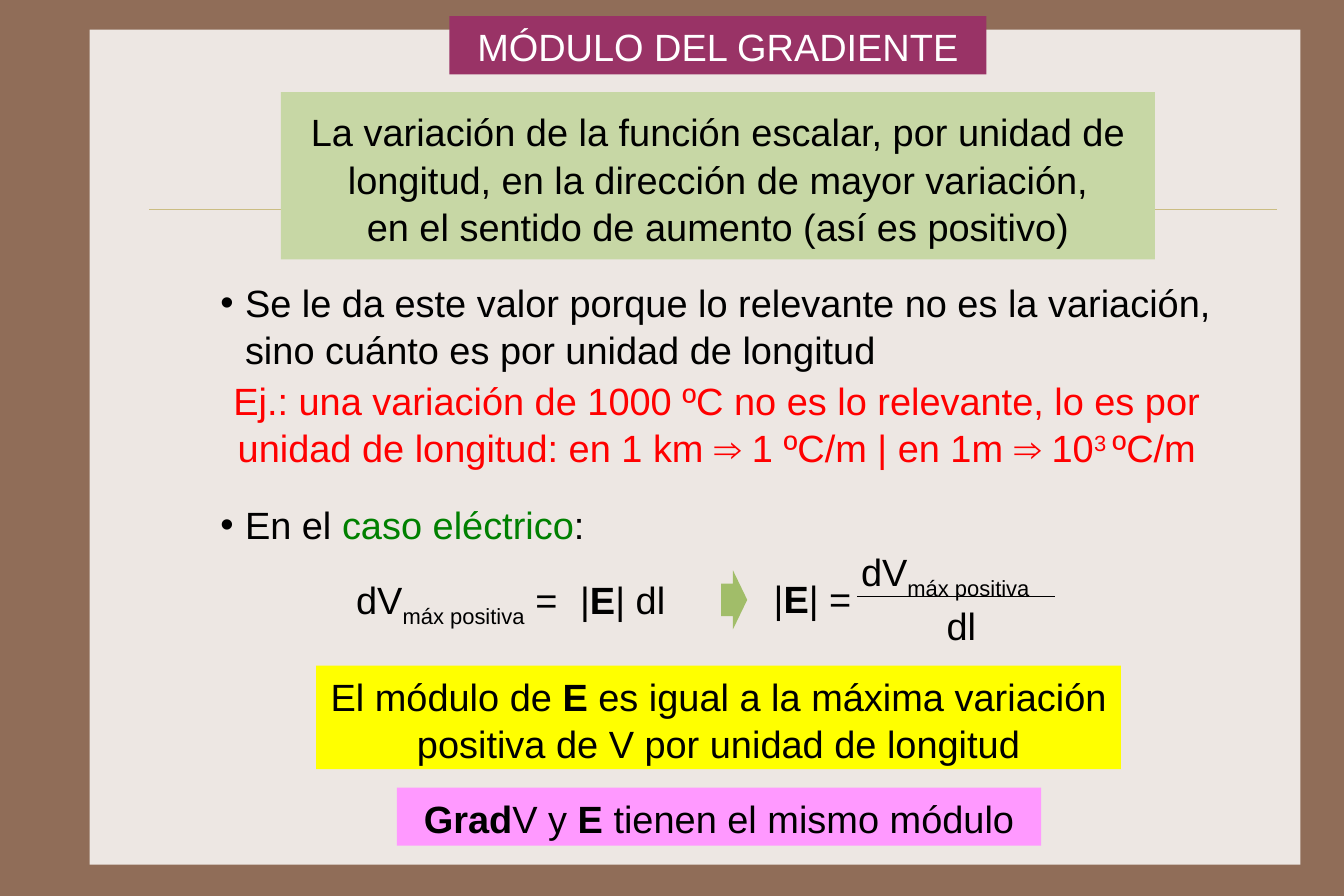
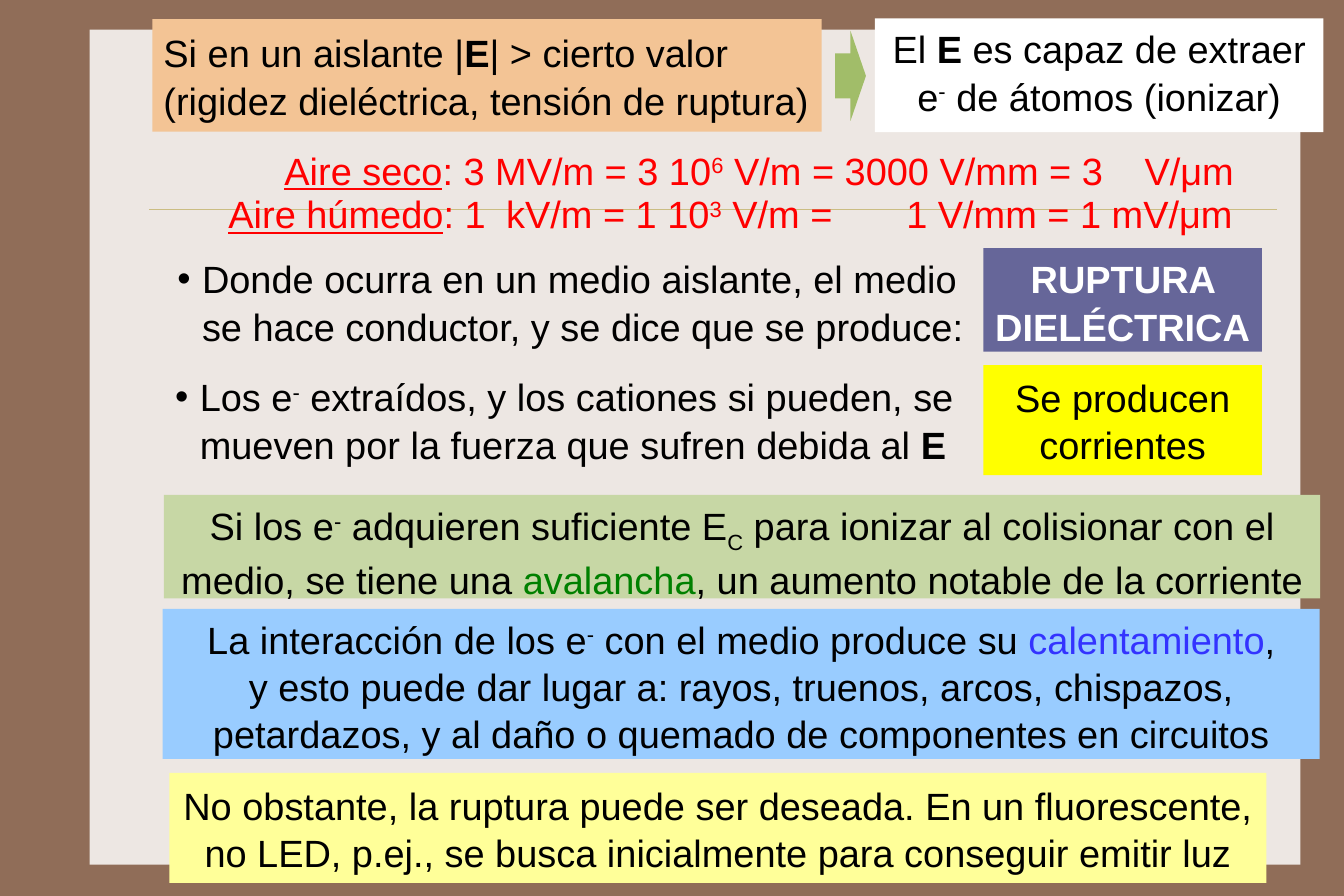
from lxml.etree import SubElement
from pptx import Presentation
from pptx.dml.color import RGBColor
from pptx.enum.shapes import MSO_CONNECTOR, MSO_SHAPE
from pptx.enum.text import MSO_ANCHOR, PP_ALIGN
from pptx.oxml.ns import qn
from pptx.util import Cm, Pt

COLORS = {
    "frame": "906D58", "panel": "EDE7E3", "rule": "CBBD83",
    "black": "000000", "white": "FFFFFF", "red": "FF0000",
    "green": "008000", "blue": "3333FF", "arrow": "A1BD69",
    "title": "993366", "sage": "C7D7A5", "yellow": "FFFF00",
    "pink": "FF99FF", "sky": "99CCFF", "peach": "F3C495",
    "indigo": "666699", "cream": "FFFF99",
}
FONT, SIZE, LINE_SPACING = "Arial", 24, 1.04
HANG = 0.55
SUP, SUB = {"baseline": 30}, {"baseline": -25}
E = ("E", {"bold": True})
E_MINUS = ["e", ("-", SUP)]


def rgb(name):
    return RGBColor.from_string(COLORS[name])


def write(p, text, color="black", bold=False, underline=False, baseline=0):
    """Add one formatted run to paragraph p; baseline is a percentage."""
    r = p.add_run()
    r.text = text
    r.font.name, r.font.size = FONT, Pt(SIZE)
    r.font.bold, r.font.underline = bold, underline
    r.font.color.rgb = rgb(color)
    if baseline:
        r._r.get_or_add_rPr().set("baseline", str(baseline * 1000))


def add_bullet(p):
    pPr = p._p.get_or_add_pPr()
    pPr.set("marL", str(Cm(HANG)))
    pPr.set("indent", str(-Cm(HANG)))
    SubElement(pPr, qn("a:buFont")).set("typeface", FONT)
    SubElement(pPr, qn("a:buChar")).set("char", "•")


def add_tabs(p, stops):
    tabs = SubElement(p._p.get_or_add_pPr(), qn("a:tabLst"))
    for stop in stops:
        tab = SubElement(tabs, qn("a:tab"))
        tab.set("pos", str(Cm(stop)))
        tab.set("algn", "l")


class Deck:
    """The presentation, its style and the current slide; lengths are in cm."""

    def __init__(self):
        self.prs = Presentation()
        self.prs.slide_width, self.prs.slide_height = Cm(30), Cm(20)
        fill = self.prs.slide_master.background.fill
        fill.solid()
        fill.fore_color.rgb = rgb("frame")

    def new_slide(self):
        self.slide = self.prs.slides.add_slide(self.prs.slide_layouts[6])
        self.shape(MSO_SHAPE.RECTANGLE, (2, 0.66, 27.03, 18.64), "panel")
        self.line(3.33, 28.5, 4.67, "rule", 0.25)

    def shape(self, kind, box, fill):
        sp = self.slide.shapes.add_shape(kind, *map(Cm, box))
        sp.shadow.inherit = False
        sp.fill.solid()
        sp.fill.fore_color.rgb = rgb(fill)
        sp.line.fill.background()
        return sp

    def line(self, left, right, y, color, width):
        """Draw a horizontal line; width is in points."""
        ln = self.slide.shapes.add_connector(
            MSO_CONNECTOR.STRAIGHT, Cm(left), Cm(y), Cm(right), Cm(y))
        ln.line.color.rgb = rgb(color)
        ln.line.width = Pt(width)
        SubElement(ln._element.spPr, qn("a:effectLst"))

    def arrow(self, box, shaft, head):
        sp = self.shape(MSO_SHAPE.RIGHT_ARROW, box, "arrow")
        sp.adjustments[0], sp.adjustments[1] = shaft, head

    def fill_text(self, sp, paragraphs, align, color="black", bold=False,
                  inset=(0.25, 0.13), middle=False, bullet=False, tabs=()):
        """Fill sp with paragraphs, each a list of strings or (text, format)."""
        tf = sp.text_frame
        tf.word_wrap = True
        tf.margin_left = tf.margin_right = Cm(inset[0])
        tf.margin_top = tf.margin_bottom = Cm(inset[1])
        tf.vertical_anchor = MSO_ANCHOR.MIDDLE if middle else MSO_ANCHOR.TOP
        for i, runs in enumerate(paragraphs):
            p = tf.add_paragraph() if i else tf.paragraphs[0]
            if bullet:
                add_bullet(p)
            if tabs:
                add_tabs(p, tabs)
            p.alignment, p.line_spacing = align, LINE_SPACING
            for run in runs:
                text, fmt = (run, {}) if isinstance(run, str) else run
                write(p, text, **{"color": color, "bold": bold, **fmt})

    def text(self, box, *paragraphs, align=PP_ALIGN.LEFT, **style):
        sp = self.slide.shapes.add_textbox(*map(Cm, box))
        self.fill_text(sp, paragraphs, align, **style)

    def panel(self, box, fill, *paragraphs, align=PP_ALIGN.CENTER, **style):
        sp = self.shape(MSO_SHAPE.RECTANGLE, box, fill)
        self.fill_text(sp, paragraphs, align, **style)


def gradient_slide(deck):
    deck.new_slide()
    deck.panel((10.03, 0.36, 11.99, 1.3), "title", ["MÓDULO DEL GRADIENTE"],
               color="white", middle=True)
    deck.panel((6.27, 2.06, 19.51, 3.73), "sage",
               ["La variación de la función escalar, por unidad de longitud, "
                "en la dirección de mayor variación,"],
               ["en el sentido de aumento (así es positivo)"],
               inset=(0.25, 0.33))
    deck.text((4.67, 6.07, 22.86, 2.31),
              ["Se le da este valor porque lo relevante no es la variación, "
               "sino cuánto es por unidad de longitud"], bullet=True)
    deck.text((4.42, 8.15, 23.16, 2.51),
              ["Ej.: una variación de 1000 ºC no es lo relevante, lo es por "
               "unidad de longitud: en 1 km ⇒ 1 ºC/m | en 1m ⇒ 10",
               ("3 ", SUP), "ºC/m"],
              align=PP_ALIGN.CENTER, color="red", inset=(0.25, 0.23))
    deck.text((4.67, 11.02, 12.45, 1.3),
              ["En el ", ("caso eléctrico", {"color": "green"}), ":"],
              bullet=True)

    dv_max = ["dV", ("máx positiva", SUB)]
    deck.text((7.7, 12.7, 7.92, 1.3), [*dv_max, " =\t|", E, "| dl"], tabs=[5])
    deck.arrow((16.1, 12.73, 0.58, 1.32), 0.55, 0.55)
    deck.text((17.02, 12.67, 2.3, 1.22), ["|", E, "| ="])
    deck.text((18.97, 12.07, 4.9, 1.1), dv_max)
    deck.line(19.13, 23.55, 13.31, "black", 1)
    deck.text((20.88, 13.28, 1.5, 1.1), ["dl"])

    deck.panel((7.06, 14.86, 17.96, 2.31), "yellow",
               ["El módulo de ", E, " es igual a la máxima variación positiva "
                "de V por unidad de longitud"])
    deck.panel((8.86, 17.58, 14.38, 1.3), "pink",
               [("Grad", {"bold": True}), "V y ", E,
                " tienen el mismo módulo"])


def breakdown_slide(deck):
    deck.new_slide()
    deck.panel((3.4, 0.43, 14.94, 2.51), "peach",
               ["Si en un aislante |", E, "| > cierto valor (rigidez "
                "dieléctrica, tensión de ruptura)"],
               align=PP_ALIGN.LEFT, inset=(0.25, 0.23), middle=True)
    deck.arrow((18.64, 0.69, 0.69, 2.01), 0.5, 0.5)
    deck.panel((19.53, 0.41, 10.01, 2.54), "white",
               ["El ", E, " es capaz de extraer ", *E_MINUS,
                " de átomos (ionizar)"])

    under = {"underline": True}
    deck.text((6.1, 3.12, 22.07, 1.27),
              [("Aire seco", under), ": 3 MV/m = 3 10", ("6", SUP),
               " V/m = 3000 V/mm = 3\tV/μm"], color="red", tabs=[19.2])
    deck.text((4.85, 4.09, 25.15, 1.27),
              [("Aire húmedo", under), ": 1\tkV/m = 1 10", ("3", SUP),
               " V/m =\t1 V/mm = 1 mV/μm"], color="red", tabs=[6.2, 15.13])

    deck.text((3.71, 5.54, 18.16, 2.31),
              ["Donde ocurra en un medio aislante, el medio se hace "
               "conductor, y se dice que se produce:"], bullet=True)
    deck.panel((21.95, 5.54, 6.22, 2.31), "indigo", ["RUPTURA DIELÉCTRICA"],
               color="white", bold=True)
    deck.text((3.66, 8.18, 18.21, 2.31),
              ["Los ", *E_MINUS, " extraídos, y los cationes si pueden, se "
               "mueven por la fuerza que sufren debida al ", E], bullet=True)
    deck.panel((21.95, 8.15, 6.22, 2.46), "yellow",
               ["Se producen corrientes"], inset=(0.3, 0.2), middle=True)

    deck.panel((3.66, 11.05, 25.81, 2.31), "sage",
               ["Si los ", *E_MINUS, " adquieren suficiente E", ("C", SUB),
                " para ionizar al colisionar con el medio, se tiene una ",
                ("avalancha", {"color": "green"}),
                ", un aumento notable de la corriente"])
    deck.panel((3.63, 13.59, 25.83, 3.35), "sky",
               ["La interacción de los ", *E_MINUS,
                " con el medio produce su ",
                ("calentamiento", {"color": "blue"}), ","],
               ["y esto puede dar lugar a: rayos, truenos, arcos, chispazos, "
                "petardazos, y al daño o quemado de componentes en circuitos"])
    deck.panel((3.78, 17.25, 24.49, 2.46), "cream",
               ["No obstante, la ruptura puede ser deseada. En un "
                "fluorescente,"],
               ["no LED, p.ej., se busca inicialmente para conseguir emitir "
                "luz"], inset=(0.3, 0.2), middle=True)


def main():
    deck = Deck()
    gradient_slide(deck)
    breakdown_slide(deck)
    deck.prs.save("out.pptx")


if __name__ == "__main__":
    main()
